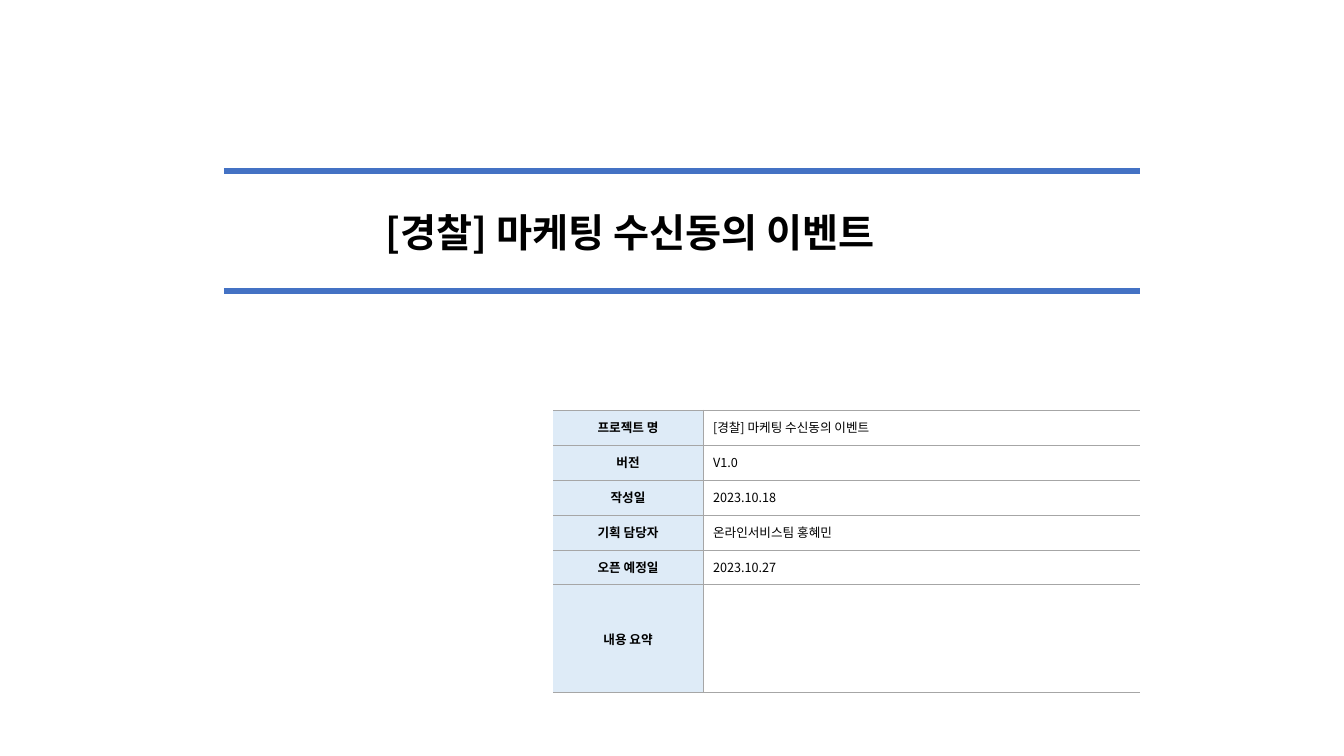
import pptx
import pptx.dml.color
import pptx.enum.shapes
import pptx.enum.text
import pptx.oxml.ns
import pptx.util
from lxml import etree

RGB = pptx.dml.color.RGBColor
ALIGN = pptx.enum.text.PP_ALIGN
MIDDLE = pptx.enum.text.MSO_ANCHOR.MIDDLE
qn = pptx.oxml.ns.qn

BLUE = RGB(0x44, 0x72, 0xC4)
PALE = RGB(0xDE, 0xEB, 0xF7)
GRAY = RGB(0xA6, 0xA6, 0xA6)
BLACK = RGB(0, 0, 0)
FONT = "Noto Sans CJK KR"
TITLE = "[경찰] 마케팅 수신동의 이벤트"
ROWS = [
    ("프로젝트 명", TITLE),
    ("버전", "V1.0"),
    ("작성일", "2023.10.18"),
    ("기획 담당자", "온라인서비스팀 홍혜민"),
    ("오픈 예정일", "2023.10.27"),
    ("내용 요약", ""),
]


def px(n):
    """Turn px into EMU at 100.8 px to the inch."""
    return pptx.util.Emu(round(n * 914400 / 100.8))


def style(font, size, bold):
    font.size = pptx.util.Pt(size)
    font.bold = bold
    font.name = FONT
    font.color.rgb = BLACK


def write(para, text, size, bold):
    if not text:
        style(para.font, size, bold)
        return
    run = para.add_run()
    run.text = text
    style(run.font, size, bold)
    latin = run.font._element.find(qn("a:latin"))
    east = etree.Element(qn("a:ea"), typeface=FONT)
    latin.addnext(east)


def rule(slide, x, y, w):
    line = slide.shapes.add_connector(
        pptx.enum.shapes.MSO_CONNECTOR.STRAIGHT, px(x), px(y), px(x + w), px(y))
    line.line.color.rgb = BLUE
    line.line.width = pptx.util.Pt(4.25)
    etree.SubElement(line._element.spPr, qn("a:effectLst"))


def banner(slide, x, y, w, h):
    """Draw the title between two rules."""
    for top in (y, y + h):
        rule(slide, x, top, w)
    box = slide.shapes.add_textbox(px(x + 152), px(y + 32), px(593), px(57))
    frame = box.text_frame
    frame.word_wrap = True
    frame.vertical_anchor = MIDDLE
    frame.margin_top = frame.margin_bottom = 0
    write(frame.paragraphs[0], TITLE, 28, True)


def edge(cell, bare):
    """Give a cell gray borders, except on its bare side."""
    props = cell._tc.get_or_add_tcPr()
    for i, side in enumerate(("lnL", "lnR", "lnT", "lnB")):
        line = etree.Element(qn("a:" + side), w="6350")
        if side == bare:
            etree.SubElement(line, qn("a:noFill"))
        else:
            fill = etree.SubElement(line, qn("a:solidFill"))
            etree.SubElement(fill, qn("a:srgbClr"), val=str(GRAY))
        props.insert(i, line)


def facts(slide, x, y, w, h):
    """Draw the project table; the last row takes the height left over."""
    step, label = 35, 150
    table = slide.shapes.add_table(
        len(ROWS), 2, px(x), px(y), px(w), px(h)).table
    table.first_row = table.horz_banding = False
    table.columns[0].width = px(label)
    table.columns[1].width = px(w - label)
    for r, texts in enumerate(ROWS):
        last = r == len(ROWS) - 1
        table.rows[r].height = px(h - step * r if last else step)
        for c, text in enumerate(texts):
            cell = table.cell(r, c)
            cell.vertical_anchor = MIDDLE
            para = cell.text_frame.paragraphs[0]
            para.alignment = ALIGN.LEFT if c else ALIGN.CENTER
            write(para, text, 9, c == 0)
            if c:
                cell.fill.background()
            else:
                cell.fill.solid()
                cell.fill.fore_color.rgb = PALE
            edge(cell, "lnR" if c else "lnL")


def main():
    deck = pptx.Presentation()
    deck.slide_width, deck.slide_height = px(1344), px(756)
    slide = deck.slides.add_slide(deck.slide_layouts[6])
    banner(slide, 224, 171, 916, 120)
    facts(slide, 553, 410, 587, 283)
    deck.save("out.pptx")


if __name__ == "__main__":
    main()
